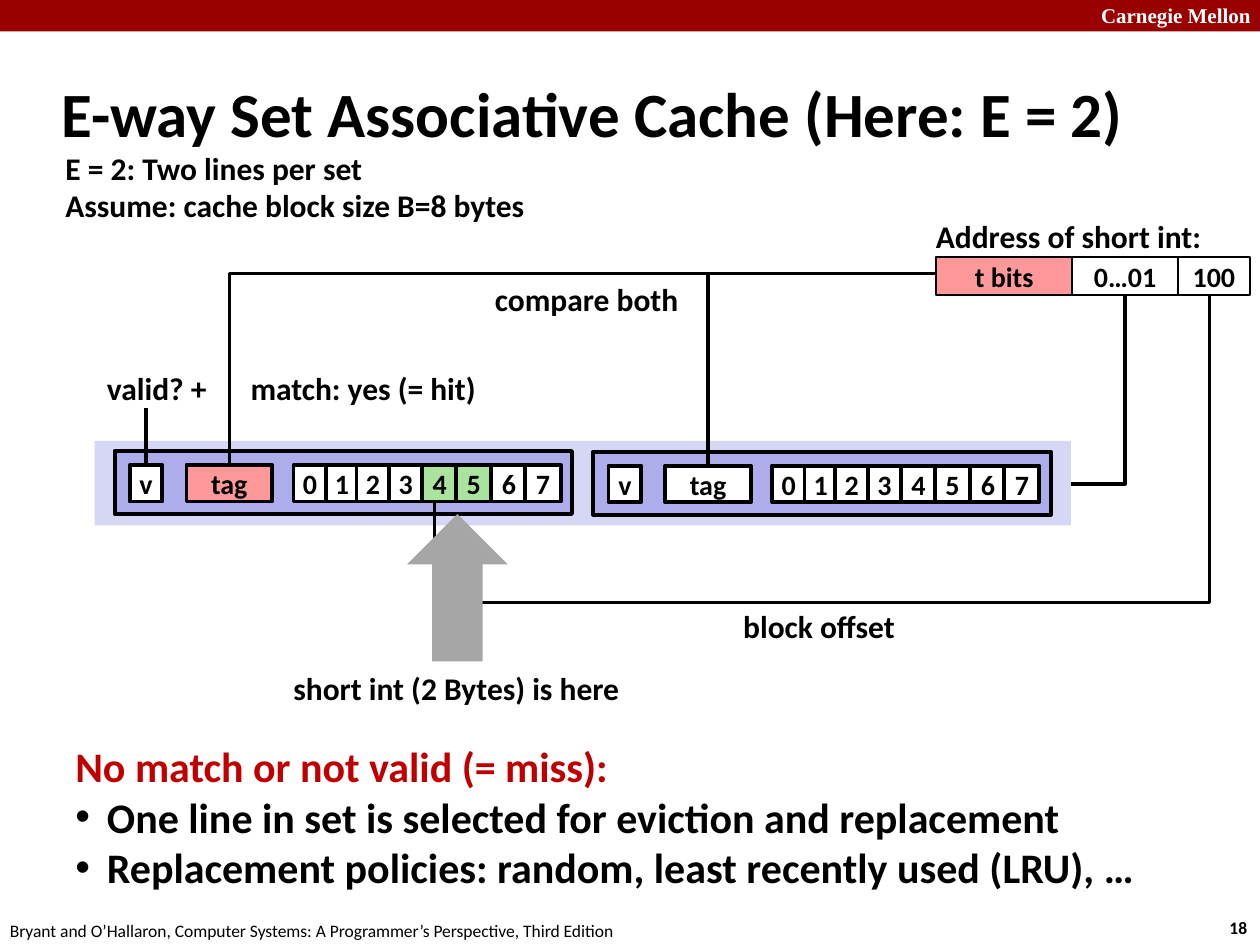
from dataclasses import dataclass

from lxml import etree
from pptx import Presentation
from pptx import util as u
from pptx.dml.color import RGBColor
from pptx.enum import shapes, text
from pptx.oxml.ns import qn

COLORS = {
    "black": "000000", "white": "FFFFFF", "banner": "990000", "miss": "C00000",
    "match": "FF9999", "hit": "A9E39D", "set": "D6D6F5", "line": "ADADEB",
    "arrow": "A6A6A6",
}
COLUMNS, ROWS = 100, 75
UNIT = u.Inches(0.1)  # one column or row of the grid


@dataclass
class Box:
    left: float
    top: float
    width: float
    height: float

    def inner(self, left, top, width, height):
        return Box(self.left + left, self.top + top, width, height)

    def point(self, x, y):
        return self.left + x, self.top + y

    def lengths(self):
        return [grid(n) for n in (self.left, self.top, self.width, self.height)]


def grid(count):
    return u.Emu(round(count * UNIT))


def color(name):
    return RGBColor.from_string(COLORS[name])


def add_run(paragraph, words, size, ink="black", bold=True, font="Calibri"):
    run = paragraph.add_run()
    run.text = words
    run.font.name, run.font.size, run.font.bold = font, u.Pt(size), bold
    run.font.color.rgb = color(ink)


def add_text(slide, box, lines, size=18, wrap=False, **style):
    shape = slide.shapes.add_textbox(*box.lengths())
    frame = shape.text_frame
    frame.word_wrap = wrap
    frame.auto_size = text.MSO_AUTO_SIZE.SHAPE_TO_FIT_TEXT
    for number, line in enumerate(lines):
        paragraph = frame.add_paragraph() if number else frame.paragraphs[0]
        add_run(paragraph, line, size, **style)
    return frame


def add_block(slide, box, fill, words="", border=0, kind=shapes.MSO_SHAPE.RECTANGLE):
    shape = slide.shapes.add_shape(kind, *box.lengths())
    shape.shadow.inherit = False
    shape.fill.solid()
    shape.fill.fore_color.rgb = color(fill)
    if border:
        shape.line.color.rgb = color("black")
        shape.line.width = u.Pt(border)
    else:
        shape.line.fill.background()
    if words:
        frame = shape.text_frame
        frame.word_wrap = False
        frame.vertical_anchor = text.MSO_ANCHOR.MIDDLE
        frame.paragraphs[0].alignment = text.PP_ALIGN.CENTER
        add_run(frame.paragraphs[0], words, 16)
    return shape


def add_wire(slide, start, end, preset="line"):
    ends = [grid(n) for n in (*start, *end)]
    wire = slide.shapes.add_connector(shapes.MSO_CONNECTOR.STRAIGHT, *ends)
    wire.line.color.rgb = color("black")
    wire.line.width = u.Pt(2)
    properties = wire._element.spPr
    properties.find(qn("a:prstGeom")).set("prst", preset)
    etree.SubElement(properties, qn("a:effectLst"))
    return wire


def add_loop(slide, start, end, bottom):
    """Wire that drops from start to bottom, runs across and rises to end."""
    drop, span = end[1] - start[1], start[0] - end[0]
    middle_x, middle_y = (start[0] + end[0]) / 2, (start[1] + end[1]) / 2
    wire = add_wire(slide, (middle_x - drop / 2, middle_y - span / 2),
                    (middle_x + drop / 2, middle_y + span / 2), "bentConnector3")
    wire.rotation = 90
    geometry = wire._element.spPr.find(qn("a:prstGeom"))
    guides = geometry.find(qn("a:avLst"))
    if guides is None:
        guides = etree.SubElement(geometry, qn("a:avLst"))
    share = round((bottom - start[1]) / drop * 100000)
    etree.SubElement(guides, qn("a:gd"), name="adj1", fmla=f"val {share}")


def draw_banner(slide, box):
    add_block(slide, box, "banner")
    add_text(slide, box.inner(86.4, -0.3, 14.3, 3), ["Carnegie Mellon"], 12,
             ink="white", font="Times New Roman")


def draw_footer(slide, box):
    add_text(slide, box.inner(96.6, -0.2, 3.7, 2.7), ["18"], 10)
    add_text(slide, box.inner(-0.2, 0, 50.8, 2.7),
             ["Bryant and O’Hallaron, Computer Systems: A Programmer’s Perspective, Third Edition"],
             10, bold=False)


def draw_heading(slide, box):
    title = add_text(slide, box.inner(0, 0, box.width, 8.3),
                     ["E-way Set Associative Cache (Here: E = 2)"], 36, wrap=True)
    title.auto_size = text.MSO_AUTO_SIZE.NONE
    title.vertical_anchor = text.MSO_ANCHOR.MIDDLE
    add_text(slide, box.inner(0.3, 6.5, 38.8, 7.1),
             ["E = 2: Two lines per set", "Assume: cache block size B=8 bytes"])


def draw_address(slide, box):
    add_text(slide, box.inner(-1, -3.7, 23.3, 4), ["Address of short int:"])
    left = 0
    for words, width, fill in (("t bits", 10.8, "match"), ("0…01", 8.4, "white"),
                               ("100", 5.7, "white")):
        add_block(slide, box.inner(left, 0, width, box.height), fill, words, 1)
        left += width


def draw_cache_line(slide, box, tag_fill, hits=()):
    add_block(slide, box, "line", border=2.25)
    cells = [("v", 1.2, 2.6, "white"), ("tag", 5.7, 6.8, tag_fill)]
    for byte, left in enumerate((14.2, 16.75, 19.2, 21.8, 24.4, 27.1, 29.9, 32.6)):
        fill = "hit" if byte in hits else "white"
        cells.append((str(byte), left, 2.6 if byte < 4 else 2.8, fill))
    # Bytes of a hit go on top of their neighbours
    for words, left, width, fill in sorted(cells, key=lambda cell: cell[3] == "hit"):
        add_block(slide, box.inner(left, 1.1, width, 2.9), fill, words, 2.25)


def draw_set(slide, box):
    add_block(slide, box, "set")
    draw_cache_line(slide, box.inner(1.6, 0.8, 36.3, 5), "match", hits=(4, 5))
    draw_cache_line(slide, box.inner(39.6, 0.85, 36.3, 5), "white")


def draw_lookup(slide, cache_set, address):
    # Address fields lead to the set, both tags and the byte
    add_wire(slide, cache_set.point(77.5, 3.4), address.point(15, 2.9), "bentConnector2")
    add_loop(slide, address.point(21.7, 3), cache_set.point(27, 4.8), cache_set.top + 12.8)
    for tag_x in (48.7, 10.7):
        add_wire(slide, address.point(0, 1.3), cache_set.point(tag_x, 1.8), "bentConnector2")
    add_wire(slide, cache_set.point(4.1, -2.6), cache_set.point(4.1, 1.8))
    # Labels
    for words, left, top, width in (
            ("compare both", 30.8, -13.3, 16.7), ("valid? +", 0, -6.2, 11.2),
            ("match: yes (= hit)", 11.4, -6.2, 20.1), ("block offset", 50.5, 12.7, 14.2),
            ("short int (2 Bytes) is here", 14.8, 17.6, 28.1)):
        add_text(slide, cache_set.inner(left, top, width, 4), [words])
    # Pointer to the bytes that hit
    add_block(slide, cache_set.inner(24.8, 5.8, 8, 11.7), "arrow",
              kind=shapes.MSO_SHAPE.UP_ARROW)


def draw_miss_notes(slide, box):
    frame = add_text(slide, box, ["No match or not valid (= miss):"], 24, ink="miss")
    for words in ("One line in set is selected for eviction and replacement",
                  "Replacement policies: random, least recently used (LRU), …"):
        paragraph = frame.add_paragraph()
        properties = paragraph._p.get_or_add_pPr()
        properties.set("marL", str(grid(2.5)))
        properties.set("indent", str(-grid(2.5)))
        etree.SubElement(properties, qn("a:buFont"), typeface="Arial")
        etree.SubElement(properties, qn("a:buChar"), char="•")
        add_run(paragraph, words, 24)


def main():
    presentation = Presentation()
    presentation.slide_width, presentation.slide_height = grid(COLUMNS), grid(ROWS)
    slide = presentation.slides.add_slide(presentation.slide_layouts[6])
    address = Box(74.3, 20.4, 24.9, 3)
    cache_set = Box(7.5, 35, 77.5, 6.7)
    draw_banner(slide, Box(0, 0, COLUMNS, 2.5))
    draw_footer(slide, Box(0, 72.5, COLUMNS, 2.5))
    draw_heading(slide, Box(3.9, 4.8, 87.1, 13.6))
    draw_address(slide, address)
    draw_set(slide, cache_set)
    draw_lookup(slide, cache_set, address)
    draw_miss_notes(slide, Box(5, 58.3, 87.3, 13.1))
    presentation.save("out.pptx")


if __name__ == "__main__":
    main()
